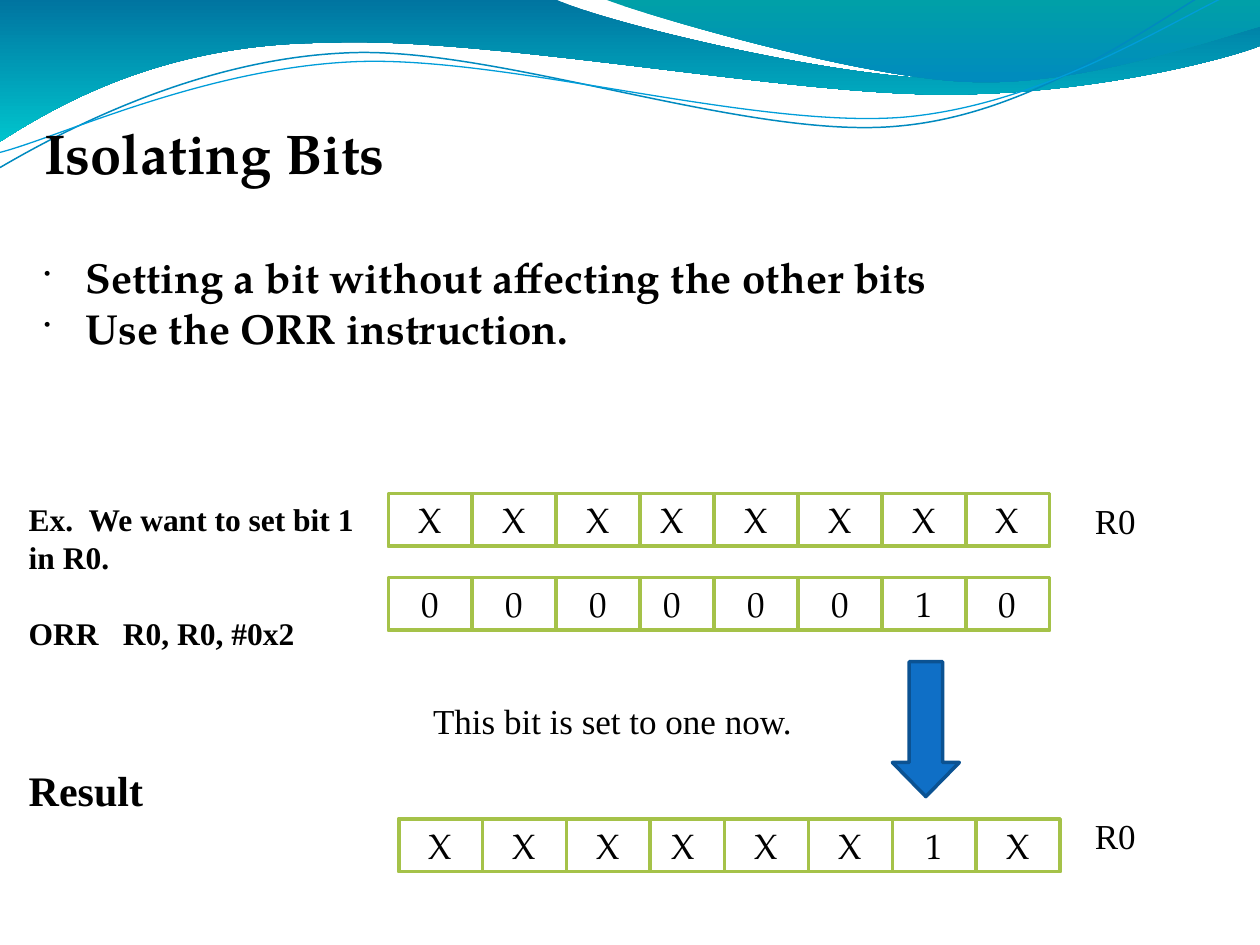
from dataclasses import dataclass

from lxml.etree import SubElement
from pptx import Presentation
from pptx.dml.color import RGBColor
from pptx.enum.shapes import MSO_SHAPE
from pptx.enum.text import MSO_ANCHOR, MSO_AUTO_SIZE, PP_ALIGN
from pptx.oxml.ns import qn
from pptx.util import Cm, Pt


@dataclass(frozen=True)
class Theme:
    serif: str = "TeX Gyre Pagella"
    roman: str = "Times New Roman"
    ink: str = "000000"
    paper: str = "FFFFFF"
    cell_line: str = "A5C249"
    arrow: str = "0F6FC6"
    arrow_line: str = "0B5292"
    title: int = 32
    heading: int = 24
    label: int = 20
    body: int = 18
    outline: int = 2


THEME = Theme()

HEADER = [
    ("Isolating Bits", dict(size=THEME.title)),
    ("Setting a bit without affecting the other bits", dict(bullet=True, before=37.6)),
    ("Use the ORR instruction.", dict(bullet=True, before=0.5)),
]
EXAMPLE = [
    ("Ex.\tWe want to set bit 1", dict(tab=1.21)),
    ("in R0.", {}),
    ("ORR\tR0, R0, #0x2", dict(tab=1.9, before=21.5)),
    ("Result", dict(size=THEME.heading, before=64.5)),
]
REGISTERS = [
    ("XXXXXXXX", 7.83, 9.95),
    ("00000010", 7.83, 11.64),
    ("XXXXXX1X", 8.04, 16.51),
]
LABELS = [
    ("R0", (21.82, 9.94, 1.4, 1.09)),
    ("R0", (21.82, 16.29, 1.4, 1.09)),
    ("This bit is set to one now.", (8.48, 13.97, 7.8, 1.09)),
]
BANDS = [
    (("0074A0", "00C4CD"), (0, -0.01), [
        (4.4, -0.01),
        (4.76, 0.17, 6.64, 0.63, 7.58, 0.63),
        (8.53, 0.63, 9.58, 0.26, 10, 0.09),
        (10.01, 0.36),
        (9.83, 0.44, 8.7, 0.76, 7.46, 0.75),
        (6.22, 0.75, 3.82, 0.28, 2.57, 0.34),
        (1.29, 0.35, 0.46, 0.83, -0.01, 1.13),
    ]),
    (("00A0A8", "008ABF"), (4.79, -0.01), [
        (5.09, 0.11, 6.82, 0.62, 7.69, 0.65),
        (8.56, 0.69, 9.61, 0.32, 10, 0.21),
        (10, 0),
    ]),
]
STRANDS = [
    (("008ABF", 0.85), (0, 1.33), [
        (0.48, 1.05, 1.56, 0.47, 2.75, 0.42),
        (3.94, 0.36, 5.94, 1.12, 7.14, 1),
        (8.35, 0.89, 9.38, -0.01, 9.97, -0.28),
    ]),
    (("009DD9", 0.75), (0, 1.21), [
        (0.47, 1.09, 1.62, 0.54, 2.82, 0.49),
        (4.02, 0.44, 5.98, 1.03, 7.18, 0.93),
        (8.38, 0.82, 9.41, 0.08, 9.99, -0.15),
    ]),
]
CELL_WIDTH, CELL_HEIGHT, ROW_WIDTH = 1.69, 1.06, 13.33
OVERLAP_INDEX = 3
UNITS = 1000


def rgb(value):
    return RGBColor.from_string(value)


def bend(wave, segments):
    corners = wave._element.iter(qn("a:lnTo"))
    corners = iter(list(corners))
    for segment in segments:
        curve = next(corners)
        if len(segment) == 6:
            for _ in range(2):
                corner = next(corners)
                curve.append(corner[0])
                corner.getparent().remove(corner)
            curve.tag = qn("a:cubicBezTo")


def add_wave(page, start, segments, colors=None, stroke=None):
    points = [(segment[i] * UNITS, segment[i + 1] * UNITS)
              for segment in segments for i in range(0, len(segment), 2)]
    builder = page.shapes.build_freeform(start[0] * UNITS, start[1] * UNITS,
                                         scale=Cm(2.54) / UNITS)
    builder.add_line_segments(points, close=bool(colors))
    wave = builder.convert_to_shape()
    bend(wave, segments)
    wave.shadow.inherit = False
    if colors:
        wave.fill.gradient()
        wave.fill.gradient_angle = 270
        for stop, color in zip(wave.fill.gradient_stops, colors):
            stop.color.rgb = rgb(color)
        wave.line.fill.background()
    else:
        wave.fill.background()
        wave.line.color.rgb = rgb(stroke[0])
        wave.line.width = Pt(stroke[1])


def add_text(para, text, size=THEME.body, font=THEME.roman, bold=False,
             align=PP_ALIGN.LEFT, before=0, bullet=False, tab=None):
    para.alignment = align
    para.space_before = Pt(before)
    span = para.add_run()
    span.text = text
    span.font.name, span.font.size, span.font.bold = font, Pt(size), bold
    span.font.color.rgb = rgb(THEME.ink)
    properties = para._p.get_or_add_pPr()
    if bullet:
        properties.set("marL", str(Cm(0.84)))
        properties.set("indent", str(-Cm(0.84)))
        color = SubElement(properties, qn("a:buClr"))
        SubElement(color, qn("a:srgbClr"), val=THEME.ink)
        SubElement(properties, qn("a:buSzPct"), val="45000")
        SubElement(properties, qn("a:buChar"), char="•")
    if tab:
        stops = SubElement(properties, qn("a:tabLst"))
        SubElement(stops, qn("a:tab"), pos=str(Cm(tab)), algn="l")


def add_box(page, place, lines, wrap=False, top=0.13, **common):
    box = page.shapes.add_textbox(*map(Cm, place))
    frame = box.text_frame
    frame.word_wrap = wrap
    frame.auto_size = MSO_AUTO_SIZE.SHAPE_TO_FIT_TEXT
    frame.margin_top = Cm(top)
    for index, (text, style) in enumerate(lines):
        para = frame.add_paragraph() if index else frame.paragraphs[0]
        add_text(para, text, **{**common, **style})


def add_block(page, kind, place, fill, line):
    block = page.shapes.add_shape(kind, *map(Cm, place))
    block.shadow.inherit = False
    block.fill.solid()
    block.fill.fore_color.rgb = rgb(fill)
    block.line.color.rgb = rgb(line)
    block.line.width = Pt(THEME.outline)
    return block


def add_register(page, bits, left, top):
    look = (THEME.paper, THEME.cell_line)
    add_block(page, MSO_SHAPE.RECTANGLE, (left, top, ROW_WIDTH, CELL_HEIGHT), *look)
    overlap = len(bits) * CELL_WIDTH - ROW_WIDTH
    for index, bit in reversed(list(enumerate(bits))):
        shift = overlap if index >= OVERLAP_INDEX else 0
        place = (left + index * CELL_WIDTH - shift, top, CELL_WIDTH, CELL_HEIGHT)
        cell = add_block(page, MSO_SHAPE.RECTANGLE, place, *look)
        cell.text_frame.vertical_anchor = MSO_ANCHOR.MIDDLE
        add_text(cell.text_frame.paragraphs[0], bit, size=THEME.label,
                 font=THEME.serif, align=PP_ALIGN.CENTER)


def main():
    """Build the slide on setting one bit with ORR."""
    deck = Presentation()
    deck.slide_width, deck.slide_height = Cm(25.4), Cm(19.05)
    page = deck.slides.add_slide(deck.slide_layouts[6])
    for colors, start, segments in BANDS:
        add_wave(page, start, segments, colors=colors)
    for stroke, start, segments in STRANDS:
        add_wave(page, start, segments, stroke=stroke)
    add_box(page, (0.64, 1.07, 24.33, 8.46), HEADER, wrap=True, top=1.31,
            size=THEME.heading, font=THEME.serif, bold=True)
    add_box(page, (0.33, 9.96, 7.09, 6.6), EXAMPLE, bold=True)
    for register in REGISTERS:
        add_register(page, *register)
    arrow = add_block(page, MSO_SHAPE.DOWN_ARROW, (17.99, 13.34, 1.35, 2.72),
                      THEME.arrow, THEME.arrow_line)
    arrow.adjustments[0], arrow.adjustments[1] = 0.5, 0.51
    for text, place in LABELS:
        add_box(page, place, [(text, {})], size=THEME.label)
    deck.save("out.pptx")


if __name__ == "__main__":
    main()
